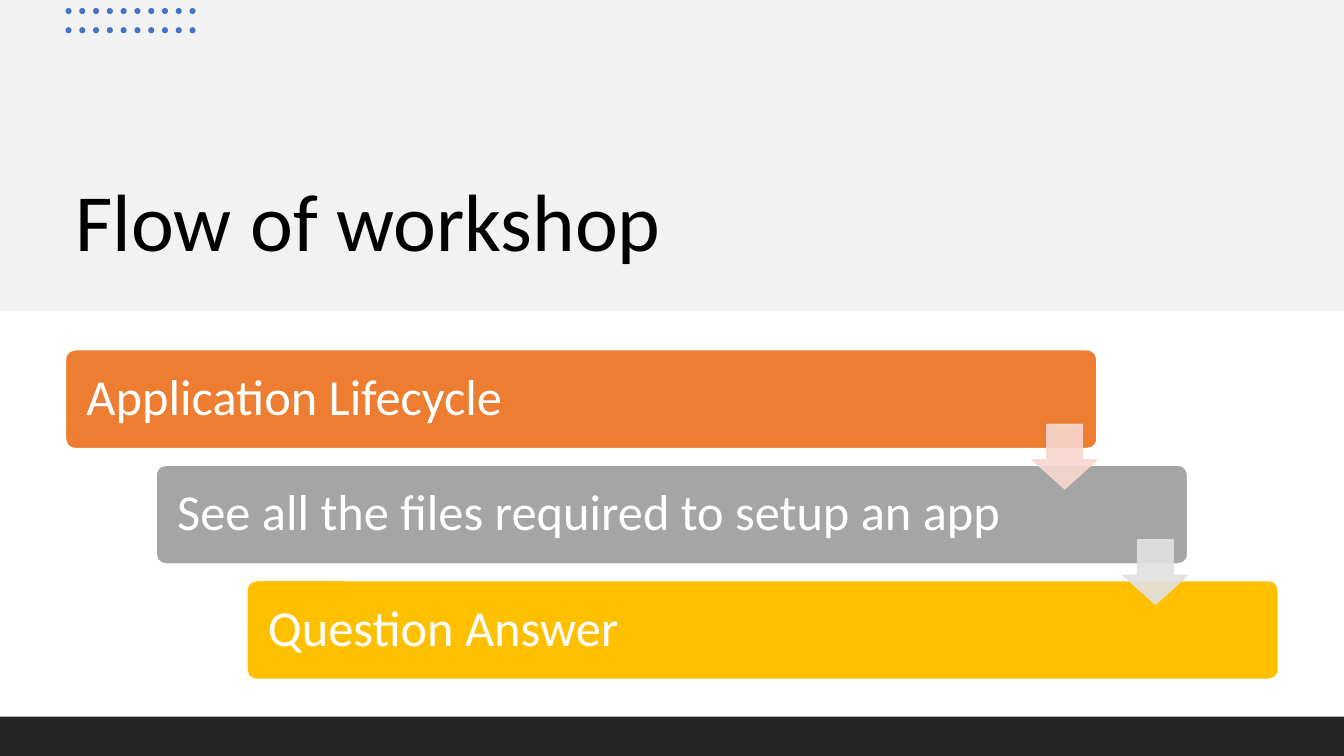
from lxml import etree
from pptx import Presentation
from pptx.dml.color import RGBColor
from pptx.enum.shapes import MSO_SHAPE
from pptx.enum.text import MSO_ANCHOR, MSO_AUTO_SIZE, PP_ALIGN
from pptx.oxml.ns import qn
from pptx.util import Inches, Pt

RECTANGLE = MSO_SHAPE.RECTANGLE
ROUNDED = MSO_SHAPE.ROUNDED_RECTANGLE
OVAL = MSO_SHAPE.OVAL
DOWN_ARROW = MSO_SHAPE.DOWN_ARROW
MIDDLE, BOTTOM = MSO_ANCHOR.MIDDLE, MSO_ANCHOR.BOTTOM
NO_AUTOFIT = MSO_AUTO_SIZE.NONE
LEFT = PP_ALIGN.LEFT

BLACK = RGBColor(0x00, 0x00, 0x00)
WHITE = RGBColor(0xFF, 0xFF, 0xFF)
LIGHT_GRAY = RGBColor(0xF2, 0xF2, 0xF2)
DARK_GRAY = RGBColor(0x26, 0x26, 0x26)
BLUE = RGBColor(0x44, 0x72, 0xC4)
ORANGE = RGBColor(0xED, 0x7D, 0x31)
GRAY = RGBColor(0xA5, 0xA5, 0xA5)
GOLD = RGBColor(0xFF, 0xC0, 0x00)
PALE_ORANGE = RGBColor(0xF8, 0xD7, 0xCE)
PALE_GRAY = RGBColor(0xE1, 0xE1, 0xE1)

SLIDE_WIDTH, SLIDE_HEIGHT = 13.33, 7.5


class SlideBuilder:
    font = "Calibri"

    def __init__(self, slide):
        self.slide = slide

    def shape(self, kind, left, top, width, height, fill, line=None, parent=None):
        shapes = (parent or self.slide).shapes
        shape = shapes.add_shape(kind, Inches(left), Inches(top), Inches(width), Inches(height))
        shape.shadow.inherit = False
        shape.fill.solid()
        shape.fill.fore_color.rgb = fill
        if line is None:
            shape.line.fill.background()
        else:
            shape.line.color.rgb = line
            shape.line.width = Pt(1)
        return shape

    def set_text(self, shape, text, size, color, anchor):
        frame = shape.text_frame
        frame.auto_size = NO_AUTOFIT
        frame.word_wrap = True
        frame.vertical_anchor = anchor
        paragraph = frame.paragraphs[0]
        paragraph.alignment = LEFT
        paragraph.line_spacing = 0.9
        run = paragraph.add_run()
        run.text = text
        run.font.name = self.font
        run.font.size = Pt(size)
        run.font.color.rgb = color

    def title(self, text, left, top, width, height):
        title = self.slide.shapes.title
        title.left, title.top = Inches(left), Inches(top)
        title.width, title.height = Inches(width), Inches(height)
        self.set_text(title, text, 58, BLACK, BOTTOM)
        # Bring the title in front of the header band
        self.slide.shapes.element.append(title.element)

    def dot_grid(self, left, top, columns, rows, column_step, row_step, size):
        group = self.slide.shapes.add_group_shape()
        for row in range(rows):
            for column in range(columns):
                self.shape(OVAL, left + column * column_step, top + row * row_step,
                           size, size, BLUE, parent=group)

    def step_bar(self, text, left, top, width, height, fill):
        bar = self.shape(ROUNDED, left, top, width, height, fill, WHITE)
        bar.adjustments[0] = 0.1
        bar.text_frame.margin_left = bar.text_frame.margin_right = Inches(0.18)
        self.set_text(bar, text, 36, WHITE, MIDDLE)

    def step_arrow(self, left, top, size, color):
        arrow = self.shape(DOWN_ARROW, left, top, size, size, color, color)
        arrow.adjustments[0] = 0.55
        arrow.adjustments[1] = 0.45
        for color_element in arrow.element.spPr.iter(qn("a:srgbClr")):
            etree.SubElement(color_element, qn("a:alpha"), val="90000")


presentation = Presentation()
presentation.slide_width = Inches(SLIDE_WIDTH)
presentation.slide_height = Inches(SLIDE_HEIGHT)
title_only_layout = presentation.slide_layouts[5]
builder = SlideBuilder(presentation.slides.add_slide(title_only_layout))

# Header with title and dots
builder.shape(RECTANGLE, 0, 0, SLIDE_WIDTH, 3.09, LIGHT_GRAY)
builder.title("Flow of workshop", 0.65, 0.75, 12.03, 1.97)
builder.dot_grid(0.65, 0.08, columns=10, rows=2, column_step=1.23 / 9, row_step=0.19, size=0.06)

# Footer band
builder.shape(RECTANGLE, 0, 7.11, SLIDE_WIDTH, 0.39, DARK_GRAY)

# Staggered workshop steps
STEPS = [
    ("Application Lifecycle", ORANGE),
    ("See all the files required to setup an app", GRAY),
    ("Question Answer", GOLD),
]
STEP_LEFT, STEP_TOP = 0.65, 3.47
STEP_SHIFT, STEP_DROP = 0.9, 2.29 / 2
for index, (text, fill) in enumerate(STEPS):
    builder.step_bar(text, STEP_LEFT + index * STEP_SHIFT, STEP_TOP + index * STEP_DROP,
                     10.23, 0.98, fill)

# Arrows between the steps
for index, color in enumerate([PALE_ORANGE, PALE_GRAY]):
    builder.step_arrow(10.24 + index * STEP_SHIFT, 4.21 + index * STEP_DROP, 0.64, color)

presentation.save("out.pptx")
